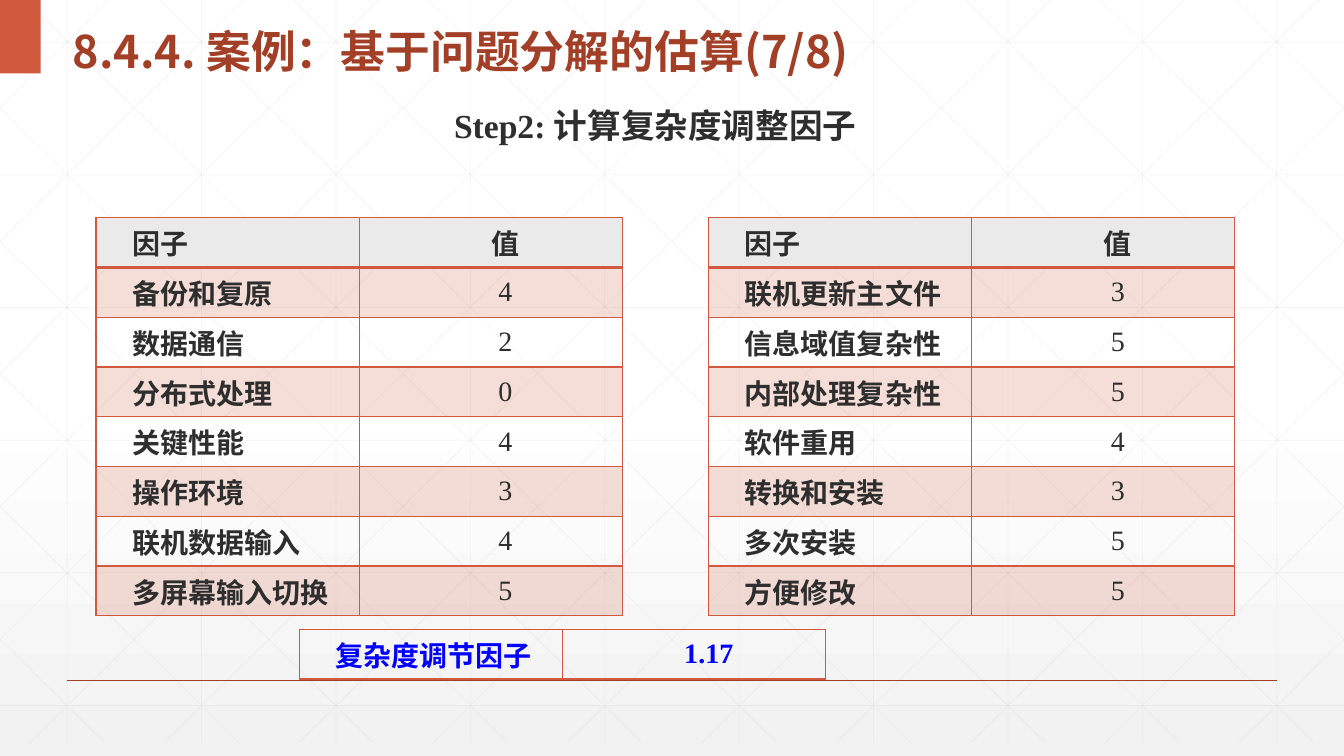
from lxml import etree
from pptx import Presentation
from pptx.dml.color import RGBColor
from pptx.enum.shapes import MSO_CONNECTOR, MSO_SHAPE
from pptx.enum.text import MSO_ANCHOR, PP_ALIGN
from pptx.oxml.ns import qn
from pptx.util import Pt

# Content
TITLE = "8.4.4. 案例：基于问题分解的估算(7/8)"
SUBTITLE = "Step2: 计算复杂度调整因子"
HEADER = ("因子", "值")
LEFT_FACTORS = [
    ("备份和复原", "4"), ("数据通信", "2"), ("分布式处理", "0"), ("关键性能", "4"),
    ("操作环境", "3"), ("联机数据输入", "4"), ("多屏幕输入切换", "5"),
]
RIGHT_FACTORS = [
    ("联机更新主文件", "3"), ("信息域值复杂性", "5"), ("内部处理复杂性", "5"),
    ("软件重用", "4"), ("转换和安装", "3"), ("多次安装", "5"), ("方便修改", "5"),
]
RESULT = ("复杂度调节因子", "1.17")

# Format
WHITE = RGBColor(0xFF, 0xFF, 0xFF)
PALE_GRAY = RGBColor(0xF2, 0xF2, 0xF2)
GRID_GRAY = RGBColor(0xD9, 0xD9, 0xD9)
HEADER_GRAY = RGBColor(0xEA, 0xEA, 0xEA)
ORANGE = RGBColor(0xD1, 0x5A, 0x3E)
RUST = RGBColor(0xA4, 0x3F, 0x27)
DARK = RGBColor(0x2D, 0x2E, 0x2D)
BLUE = RGBColor(0x00, 0x00, 0xFF)
SERIF, SANS = "Times New Roman", "Noto Sans CJK SC"
LEFT, CENTER, JUSTIFY = PP_ALIGN.LEFT, PP_ALIGN.CENTER, PP_ALIGN.JUSTIFY
TOP, MIDDLE = MSO_ANCHOR.TOP, MSO_ANCHOR.MIDDLE
STRAIGHT, RECTANGLE = MSO_CONNECTOR.STRAIGHT, MSO_SHAPE.RECTANGLE

# Layout, in points
SLIDE_WIDTH, SLIDE_HEIGHT = 960, 540
GRID_BOTTOM, COLUMN_GAP, ROW_GAP = 530.6, 96, 94.75
DIAGONAL_START, DIAGONAL_RUN = 18, 536.8
COLUMN_WIDTH, ROW_HEIGHT = 188, 35.55
FIRST_LINE_INDENT = 21

presentation = Presentation()
presentation.slide_width, presentation.slide_height = Pt(SLIDE_WIDTH), Pt(SLIDE_HEIGHT)
slide = presentation.slides.add_slide(presentation.slide_layouts[6])


def set_alpha(parent, percent):
    color = next(parent.iter(qn("a:srgbClr")))
    etree.SubElement(color, qn("a:alpha"), val=str(percent * 1000))


def add_line(x1, y1, x2, y2, color, width, alpha=None):
    connector = slide.shapes.add_connector(STRAIGHT, Pt(x1), Pt(y1), Pt(x2), Pt(y2))
    connector.line.color.rgb = color
    connector.line.width = Pt(width)
    properties = connector._element.spPr
    if alpha:
        set_alpha(properties, alpha)
    etree.SubElement(properties, qn("a:effectLst"))


def write_text(frame, text, *, size, font=SERIF, color=DARK, bold=True,
               align=LEFT, spacing=None, indent=0):
    frame.word_wrap = True
    paragraph = frame.paragraphs[0]
    paragraph.alignment = align
    if spacing:
        paragraph.line_spacing = spacing
    if indent:
        paragraph_properties = paragraph._p.get_or_add_pPr()
        paragraph_properties.set("marL", "0")
        paragraph_properties.set("indent", str(Pt(indent)))
    run = paragraph.add_run()
    run.text = text
    run.font.name, run.font.size, run.font.bold = font, Pt(size), bold
    run.font.color.rgb = color
    run_properties = run._r.get_or_add_rPr()
    etree.SubElement(run_properties, qn("a:ea"), typeface=SANS)


def add_text_box(text, left, top, width, height, *, anchor, inset=0, **text_format):
    frame = slide.shapes.add_textbox(Pt(left), Pt(top), Pt(width), Pt(height)).text_frame
    frame.vertical_anchor = anchor
    frame.margin_top = frame.margin_bottom = Pt(inset)
    write_text(frame, text, **text_format)


def set_borders(cell, top, bottom):
    cell_properties = cell._tc.get_or_add_tcPr()
    widths = {"lnL": 1, "lnR": 1, "lnT": top, "lnB": bottom}
    for position, (side, width) in enumerate(widths.items()):
        border = etree.Element(qn("a:" + side), w=str(Pt(width)))
        fill = etree.SubElement(border, qn("a:solidFill"))
        etree.SubElement(fill, qn("a:srgbClr"), val=str(ORANGE))
        cell_properties.insert(position, border)


def add_factor_table(rows, left, top, has_header=True, color=DARK):
    frame = slide.shapes.add_table(len(rows), 2, Pt(left), Pt(top), Pt(2 * COLUMN_WIDTH),
                                   Pt(ROW_HEIGHT * len(rows)))
    table = frame.table
    table.first_row = table.horz_banding = False
    for column in table.columns:
        column.width = Pt(COLUMN_WIDTH)
    for r, values in enumerate(rows):
        table.rows[r].height = Pt(ROW_HEIGHT)
        for c, value in enumerate(values):
            cell = table.cell(r, c)
            cell.vertical_anchor = MIDDLE
            cell.margin_left = cell.margin_right = Pt(5)
            cell.margin_top = cell.margin_bottom = 0
            write_text(cell.text_frame, value, size=20, color=color,
                       bold=r == 0 or c == 0, align=CENTER if c else JUSTIFY,
                       indent=FIRST_LINE_INDENT)
            if has_header and r == 0:
                cell.fill.solid()
                cell.fill.fore_color.rgb = HEADER_GRAY
            elif r % 2:
                cell.fill.solid()
                cell.fill.fore_color.rgb = ORANGE
                set_alpha(cell._tc.tcPr, 20)
            else:
                cell.fill.background()
            set_borders(cell, top=2 if r == 1 else 1, bottom=2 if r == 0 else 1)


# Background gradient
background = slide.background.fill
background.gradient()
background.gradient_angle = 270
for stop, position, color in zip(background.gradient_stops, (0.53, 1), (WHITE, PALE_GRAY)):
    stop.position = position
    stop.color.rgb = color

# Faint grid: verticals, horizontals, then both diagonal families cut at the edges
grid_lines = [(48 + COLUMN_GAP * i, 0, 48 + COLUMN_GAP * i, GRID_BOTTOM) for i in range(10)]
grid_lines += [(0, 30.2 + ROW_GAP * i, SLIDE_WIDTH, 30.2 + ROW_GAP * i) for i in range(6)]
for i in range(-5, 10):
    start = DIAGONAL_START + COLUMN_GAP * i
    x1, x2 = max(start, 0), min(start + DIAGONAL_RUN, SLIDE_WIDTH)
    y1, y2 = [(x - start) * GRID_BOTTOM / DIAGONAL_RUN for x in (x1, x2)]
    grid_lines += [(x1, y1, x2, y2), (SLIDE_WIDTH - x1, y1, SLIDE_WIDTH - x2, y2)]
for ends in grid_lines:
    add_line(*ends, GRID_GRAY, 0.5, alpha=25)

# Footer rule and corner block
add_line(48, 486, 912, 486, RUST, 1)
corner = slide.shapes.add_shape(RECTANGLE, 0, 0, Pt(29), Pt(52.5))
corner.shadow.inherit = False
corner.fill.solid()
corner.fill.fore_color.rgb = ORANGE
corner.line.fill.background()

# Headings
add_text_box(TITLE, 45, 4.3, 794, 52.5, anchor=MIDDLE, inset=3.6,
             size=32, font=SANS, color=RUST, spacing=1.3)
add_text_box(SUBTITLE, 275, 78.5, 386, 42.5, anchor=TOP,
             size=24, align=CENTER, spacing=0.9)

# Factor tables and result
add_factor_table([HEADER] + LEFT_FACTORS, 68.5, 155.5)
add_factor_table([HEADER] + RIGHT_FACTORS, 506, 155.5)
add_factor_table([RESULT], 213.8, 449.5, has_header=False, color=BLUE)

presentation.save("out.pptx")
